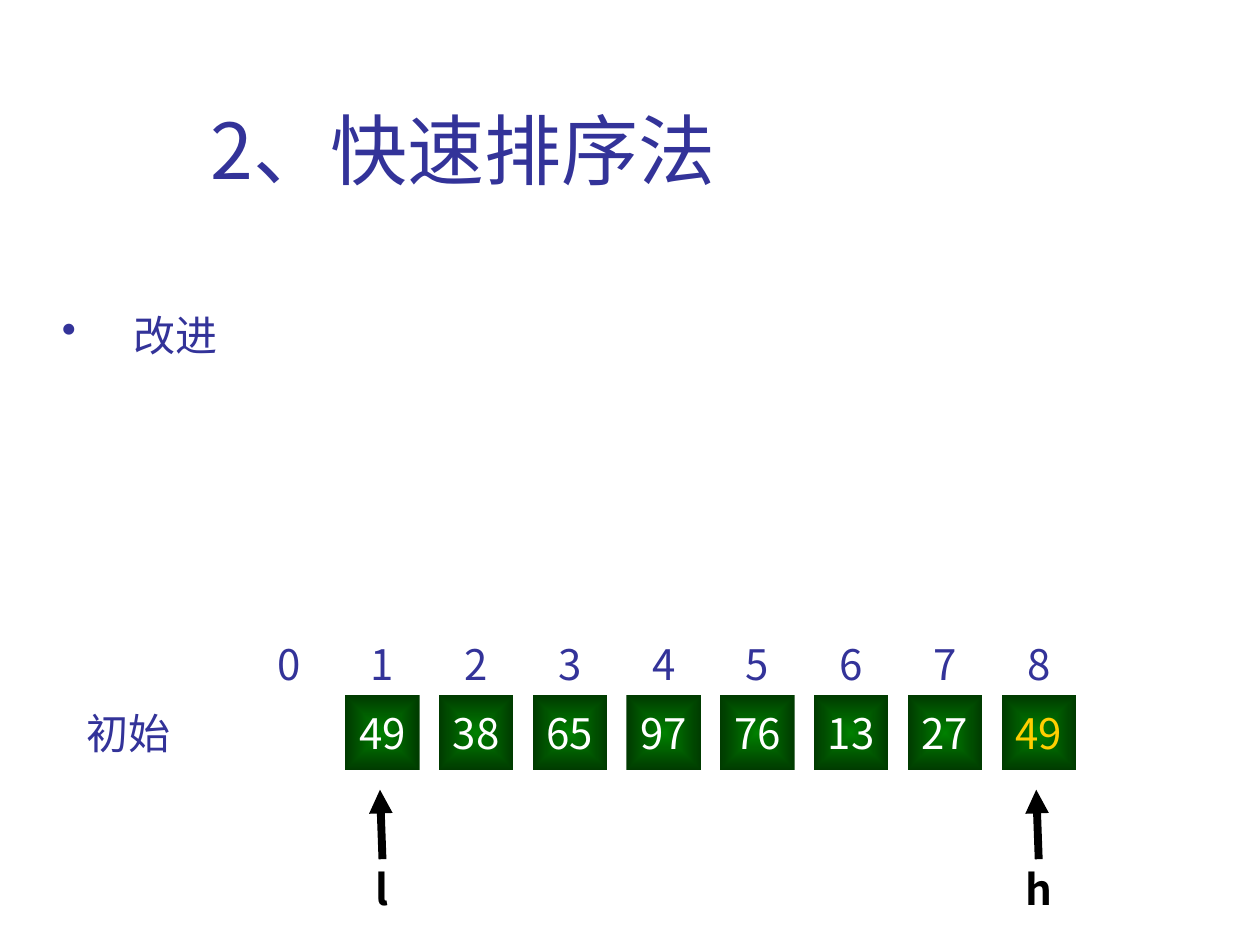
import pptx
import pptx.util
import pptx.dml.color
import pptx.enum.shapes
import pptx.enum.text
import pptx.oxml.ns
from lxml import etree

Cm, Pt = pptx.util.Cm, pptx.util.Pt
RGB = pptx.dml.color.RGBColor
Align = pptx.enum.text.PP_ALIGN
Mid = pptx.enum.text.MSO_ANCHOR.MIDDLE
qn = pptx.oxml.ns.qn

NAVY = RGB(0x33, 0x33, 0x99)
GREEN = RGB(0x00, 0x80, 0x00)
DARK = RGB(0x00, 0x3B, 0x00)
GOLD = RGB(0xFF, 0xCF, 0x01)
WHITE = RGB(0xFF, 0xFF, 0xFF)
BLACK = RGB(0x00, 0x00, 0x00)

KEYS = [49, 38, 65, 97, 76, 13, 27, 49]
LEFT, STEP, SIDE = 6.96, 1.89, 1.5
ROW, HEAD = 14.02, 12.62


class Deck:
    face = "Noto Sans CJK SC"
    size = 24

    def __init__(self, slide):
        self.slide = slide

    def fill_text(self, shape, text, color, align=Align.CENTER, size=size,
                  bold=False, wrap=False):
        frame = shape.text_frame
        frame.word_wrap = wrap
        frame.vertical_anchor = Mid
        para = frame.paragraphs[0]
        para.text = text
        para.alignment = align
        font = para.font
        font.name, font.size, font.bold = self.face, Pt(size), bold
        font.color.rgb = color
        # East Asian glyphs take their own typeface entry
        latin = para._p.pPr.find(qn("a:defRPr")).find(qn("a:latin"))
        latin.addnext(etree.Element(qn("a:ea"), typeface=self.face))

    def title(self, text, x, y, w, h):
        shape = self.slide.shapes.title
        shape.left, shape.top, shape.width, shape.height = map(Cm, (x, y, w, h))
        self.fill_text(shape, text, NAVY, Align.LEFT, 44, wrap=True)

    def label(self, text, x, y, w, h, color=NAVY, home=None, **style):
        shapes = (home or self.slide).shapes
        box = shapes.add_textbox(Cm(x), Cm(y), Cm(w), Cm(h))
        self.fill_text(box, text, color, **style)

    def bullet(self, text, x, y, w, h):
        box = self.slide.shapes.add_textbox(Cm(x), Cm(y), Cm(w), Cm(h))
        prop = box.text_frame.paragraphs[0]._p.get_or_add_pPr()
        prop.set("marL", str(Cm(0.6)))
        prop.set("indent", str(Cm(-0.6)))
        etree.SubElement(prop, qn("a:buChar"), char="•")
        self.fill_text(box, text, NAVY, Align.JUSTIFY, wrap=True)

    def cell(self, text, x, y, color):
        kind = pptx.enum.shapes.MSO_SHAPE.RECTANGLE
        box = self.slide.shapes.add_shape(kind, Cm(x), Cm(y), Cm(SIDE), Cm(SIDE))
        box.shadow.inherit = False
        box.line.fill.background()
        box.fill.gradient()
        for stop, shade in zip(box.fill.gradient_stops, (GREEN, DARK)):
            stop.color.rgb = shade
        # Shade outward from the centre
        grad = box._element.spPr.find(qn("a:gradFill"))
        grad.remove(grad.find(qn("a:lin")))
        way = etree.SubElement(grad, qn("a:path"))
        way.set("path", "rect")
        etree.SubElement(way, qn("a:fillToRect"),
                         dict.fromkeys("ltrb", "50000"))
        self.fill_text(box, text, color)

    def arrow(self, home, x1, y1, x2, y2):
        kind = pptx.enum.shapes.MSO_CONNECTOR.STRAIGHT
        line = home.shapes.add_connector(kind, Cm(x1), Cm(y1), Cm(x2), Cm(y2))
        line.line.color.rgb = BLACK
        line.line.width = Pt(4.5)
        prop = line._element.spPr
        etree.SubElement(prop.find(qn("a:ln")), qn("a:tailEnd"),
                         type="triangle")
        etree.SubElement(prop, qn("a:effectLst"))

    def mark(self, text, mid):
        home = self.slide.shapes.add_group_shape()
        self.label(text, mid - 1, 17.32, 2, 1.2, BLACK, home, bold=True)
        self.arrow(home, mid, 17.32, mid - 0.05, 15.92)


def main():
    prs = pptx.Presentation()
    prs.slide_width, prs.slide_height = Cm(25.4), Cm(19.05)
    deck = Deck(prs.slides.add_slide(prs.slide_layouts[5]))

    # Heading and topic
    deck.title("2、快速排序法", 3.99, 1.5, 19, 3)
    deck.bullet("　改进", 1, 6, 22.98, 1.5)

    # Array row with its indexes
    deck.label("初始", 1.5, ROW, 2.2, SIDE, align=Align.LEFT)
    for i in range(len(KEYS) + 1):
        deck.label(str(i), LEFT + (i - 1) * STEP, HEAD, SIDE, SIDE)
    last = len(KEYS) - 1
    for i, key in enumerate(KEYS):
        deck.cell(str(key), LEFT + i * STEP, ROW, GOLD if i == last else WHITE)

    # Low and high pointers
    for name, i in (("l", 0), ("h", last)):
        deck.mark(name, LEFT + i * STEP + SIDE / 2)

    prs.save("out.pptx")


if __name__ == "__main__":
    main()
